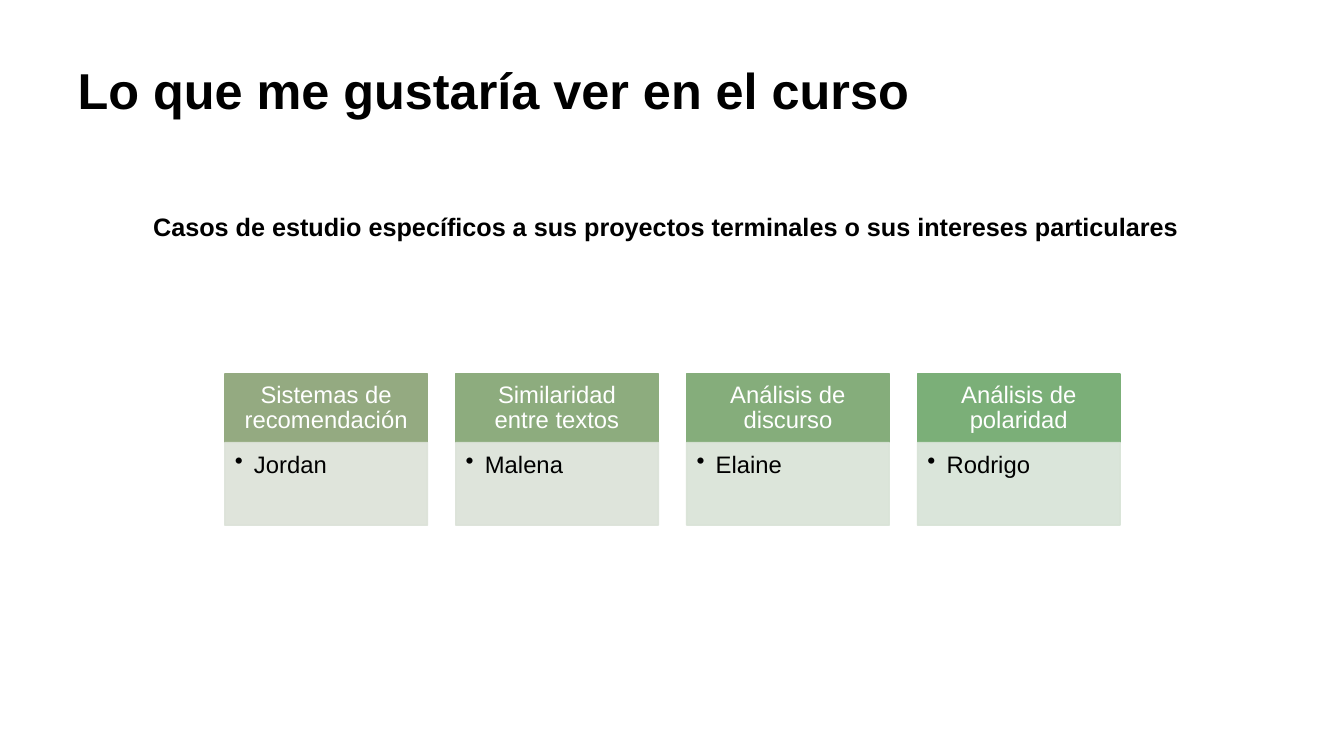
import pptx
import pptx.util
import pptx.dml.color
import pptx.enum.shapes
import pptx.enum.text
import pptx.oxml
import pptx.oxml.ns
from lxml import etree

Inches, Pt = pptx.util.Inches, pptx.util.Pt
ALIGN, ANCHOR = pptx.enum.text.PP_ALIGN, pptx.enum.text.MSO_ANCHOR
qn = pptx.oxml.ns.qn

# Content
TITLE = "Lo que me gustaría ver en el curso"
SUBTITLE = "Casos de estudio específicos a sus proyectos terminales o sus intereses particulares"
TOPICS = [  # topic, student, heading fill, body fill
    ("Sistemas de recomendación", "Jordan", "sage", "sage_pale"),
    ("Similaridad entre textos", "Malena", "moss", "moss_pale"),
    ("Análisis de discurso", "Elaine", "leaf", "leaf_pale"),
    ("Análisis de polaridad", "Rodrigo", "green", "green_pale"),
]
COLORS = {
    "black": "000000", "white": "FFFFFF",
    "sage": "94AA81", "moss": "8DAC7E", "leaf": "85AD7B", "green": "7BAF78",
    "sage_pale": "DCE2D8", "moss_pale": "DBE2D8",
    "leaf_pale": "D9E3D7", "green_pale": "D7E3D6",
}

# Layout in inches
CARD_LEFT, CARD_TOP, CARD_WIDTH, CARD_PITCH = 2.23, 3.71, 2.01, 2.29
HEADING_HEIGHT, BODY_HEIGHT = 0.68, 0.82


def rgb(name):
    return pptx.dml.color.RGBColor.from_string(COLORS[name])


def write(frame, text, size, color="black", bold=False):
    frame.text = text
    paragraph = frame.paragraphs[0]
    font = paragraph.runs[0].font
    font.name, font.size, font.bold = "Arial", Pt(size), bold
    font.color.rgb = rgb(color)
    return paragraph


def add_panel(left, top, height, fill, margins, anchor):
    panel = slide.shapes.add_shape(
        pptx.enum.shapes.MSO_SHAPE.RECTANGLE,
        Inches(left), Inches(top), Inches(CARD_WIDTH), Inches(height))
    panel.shadow.inherit = False
    panel.fill.solid()
    panel.fill.fore_color.rgb = rgb(fill)
    panel.line.color.rgb = rgb(fill)
    panel.line.width = Pt(1)
    frame = panel.text_frame
    frame.word_wrap = True
    frame.vertical_anchor = anchor
    (frame.margin_left, frame.margin_top,
     frame.margin_right, frame.margin_bottom) = map(Inches, margins)
    return panel


def set_opacity(panel, percent):
    for color in panel._element.spPr.iter(qn("a:srgbClr")):
        etree.SubElement(color, qn("a:alpha"), val=str(percent * 1000))


def add_bullet(paragraph, indent):
    properties = paragraph._p.get_or_add_pPr()
    properties.set("marL", str(Inches(indent)))
    properties.set("indent", str(-Inches(indent)))
    etree.SubElement(properties, qn("a:buChar"), char="•")


prs = pptx.Presentation()
prs.slide_width, prs.slide_height = Inches(13.33), Inches(7.5)
slide = prs.slides.add_slide(prs.slide_layouts[5])

# Title
title = slide.shapes.title
title.left, title.top = Inches(0.67), Inches(0.6)
title.width, title.height = Inches(11.65), Inches(1.24)
title.text_frame.auto_size = pptx.enum.text.MSO_AUTO_SIZE.NONE
title.text_frame.vertical_anchor = ANCHOR.TOP
heading = write(title.text_frame, TITLE, 36, bold=True)
heading.alignment, heading.line_spacing = ALIGN.LEFT, 0.9

# Topic cards: heading above, student below
for column, (topic, student, strong, pale) in enumerate(TOPICS):
    left = CARD_LEFT + column * CARD_PITCH
    topic_panel = add_panel(left, CARD_TOP, HEADING_HEIGHT, strong,
                            (0.13, 0.08, 0.13, 0.08), ANCHOR.MIDDLE)
    topic_line = write(topic_panel.text_frame, topic, 17, "white")
    topic_line.alignment, topic_line.line_spacing = ALIGN.CENTER, 0.9

    student_panel = add_panel(left, CARD_TOP + HEADING_HEIGHT, BODY_HEIGHT, pale,
                              (0.1, 0.1, 0.13, 0.15), ANCHOR.TOP)
    set_opacity(student_panel, 90)
    student_line = write(student_panel.text_frame, student, 17)
    add_bullet(student_line, 0.19)
    student_line.alignment, student_line.line_spacing = ALIGN.LEFT, 0.9

# Subtitle
subtitle = slide.shapes.add_textbox(Inches(1.42), Inches(2.05), Inches(10.58), Inches(0.4))
subtitle.text_frame.word_wrap = False
subtitle.text_frame.auto_size = pptx.enum.text.MSO_AUTO_SIZE.SHAPE_TO_FIT_TEXT
write(subtitle.text_frame, SUBTITLE, 18, bold=True)

prs.save("out.pptx")
